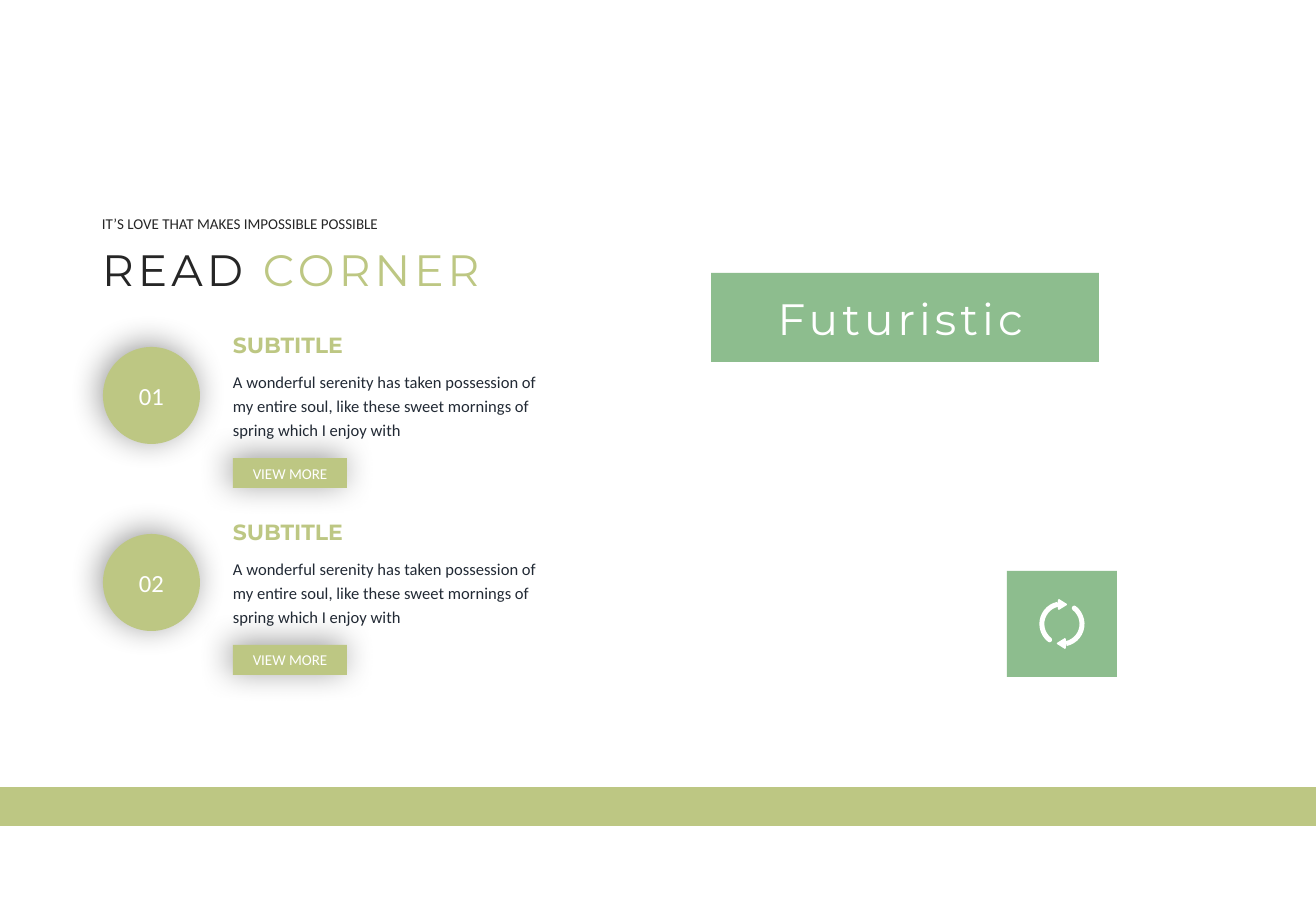
import math

from pptx import Presentation, util as u
from pptx.dml.color import RGBColor
from pptx.enum import shapes, text
from pptx.oxml import parse_xml

PX = 7526  # EMU per px
OLIVE, GREEN, WHITE, DARK, NAVY = "BDC783", "8DBD8E", "FFFFFF", "262626", "222A35"
LEFT, CENTER = text.PP_ALIGN.LEFT, text.PP_ALIGN.CENTER
RECTANGLE, OVAL = shapes.MSO_SHAPE.RECTANGLE, shapes.MSO_SHAPE.OVAL
SHADOW = (
    '<a:effectLst xmlns:a="http://schemas.openxmlformats.org/drawingml/2006/main">'
    '<a:outerShdw blurRad="241300" dist="38100" dir="13500000" algn="br" rotWithShape="0">'
    '<a:srgbClr val="000000"><a:alpha val="40000"/></a:srgbClr>'
    '</a:outerShdw></a:effectLst>'
)

presentation = Presentation()
presentation.slide_width, presentation.slide_height = 1316 * PX, 911 * PX
slide = presentation.slides.add_slide(presentation.slide_layouts[5])


def add_block(kind, box, fill, shadow=False):
    shape = slide.shapes.add_shape(kind, *(value * PX for value in box))
    shape.fill.solid()
    shape.fill.fore_color.rgb = RGBColor.from_string(fill)
    shape.line.fill.background()
    if shadow:
        shape._element.spPr.append(parse_xml(SHADOW))
    else:
        shape.shadow.inherit = False
    return shape


def write(shape, runs, size, font, align=LEFT, spacing=0, bold=False, wrap=True,
          grow=True, anchor=text.MSO_ANCHOR.TOP, line_spacing=1.0):
    frame = shape.text_frame
    frame.word_wrap = wrap
    frame.vertical_anchor = anchor
    frame.auto_size = (text.MSO_AUTO_SIZE.SHAPE_TO_FIT_TEXT if grow
                       else text.MSO_AUTO_SIZE.NONE)
    paragraph = frame.paragraphs[0]
    paragraph.alignment = align
    paragraph.line_spacing = line_spacing
    for words, color in runs:
        run = paragraph.add_run()
        run.text = words
        run.font.size = u.Pt(size)
        run.font.name = font
        run.font.bold = bold
        run.font.color.rgb = RGBColor.from_string(color)
        if spacing:
            run._r.get_or_add_rPr().set("spc", str(spacing))


# Title
title = slide.shapes.title
title.left, title.top, title.width, title.height = (
    value * PX for value in (90, 237, 501, 66))
write(title, [("READ ", DARK), ("CORNER", OLIVE)], 26, "Montserrat", spacing=240)

# Colour blocks
add_block(RECTANGLE, (0, 787, 1316, 39), OLIVE)
add_block(RECTANGLE, (711, 273, 388, 89), GREEN)
add_block(RECTANGLE, (1007, 571, 110, 106), GREEN)

# Banner word and tagline
banner = slide.shapes.add_textbox(*(value * PX for value in (725, 286, 351, 66)))
write(banner, [("Futuristic", WHITE)], 26, "Montserrat", CENTER, spacing=240)
tagline = slide.shapes.add_textbox(*(value * PX for value in (90, 209, 306, 30)))
write(tagline, [("IT’S LOVE THAT MAKES IMPOSSIBLE POSSIBLE", DARK)], 8.9, "Calibri",
      wrap=False)

# Cycle icon: a round-ended arc and an arrowhead, repeated after a half turn
START, END, OUTER, INNER = 128, 258, 22.6, 17.6
cap_radius, middle = (OUTER - INNER) / 2, (OUTER + INNER) / 2
start_angle = math.radians(START)
angles = [math.radians(degree) for degree in range(START, END + 1, 10)]
arc = [(OUTER * math.cos(a), OUTER * math.sin(a)) for a in reversed(angles)]
for degree in range(30, 180, 30):
    turn = start_angle - math.radians(degree)
    arc.append((middle * math.cos(start_angle) + cap_radius * math.cos(turn),
                middle * math.sin(start_angle) + cap_radius * math.sin(turn)))
arc += [(INNER * math.cos(a), INNER * math.sin(a)) for a in angles]
arrowhead = [(-4, -24), (-3, -25), (5, -20), (5, -19), (-3, -14), (-4, -15)]

contours = [[((1062 + sign * x) * PX, (624 + sign * y) * PX) for x, y in outline]
            for sign in (1, -1) for outline in (arc, arrowhead)]
builder = slide.shapes.build_freeform(*contours[0][0], scale=1.0)
for index, contour in enumerate(contours):
    if index:
        builder.move_to(*contour[0])
    builder.add_line_segments(contour[1:], close=True)
icon = builder.convert_to_shape()
icon.fill.solid()
icon.fill.fore_color.rgb = RGBColor.from_string(WHITE)
icon.line.fill.background()
icon.shadow.inherit = False

# Numbered entries
for index, number in enumerate(("01", "02")):
    top = 326 + index * 187
    body = slide.shapes.add_textbox(*(value * PX for value in (221, top + 36, 328, 83)))
    write(body, [("A wonderful serenity has taken possession of my entire soul, "
                  "like these sweet mornings of spring which I enjoy with", NAVY)],
          9.8, "Calibri", line_spacing=1.2)
    circle = add_block(OVAL, (103, top + 21, 97, 97), OLIVE, shadow=True)
    write(circle, [(number, WHITE)], 14.6, "Calibri", CENTER, grow=False,
          anchor=text.MSO_ANCHOR.MIDDLE)
    subtitle = slide.shapes.add_textbox(*(value * PX for value in (221, top, 282, 39)))
    write(subtitle, [("SUBTITLE", OLIVE)], 13, "Montserrat", bold=True)
    button = add_block(RECTANGLE, (233, top + 132, 114, 30), OLIVE, shadow=True)
    write(button, [("VIEW MORE", WHITE)], 8.9, "Calibri", CENTER)

presentation.save("out.pptx")
